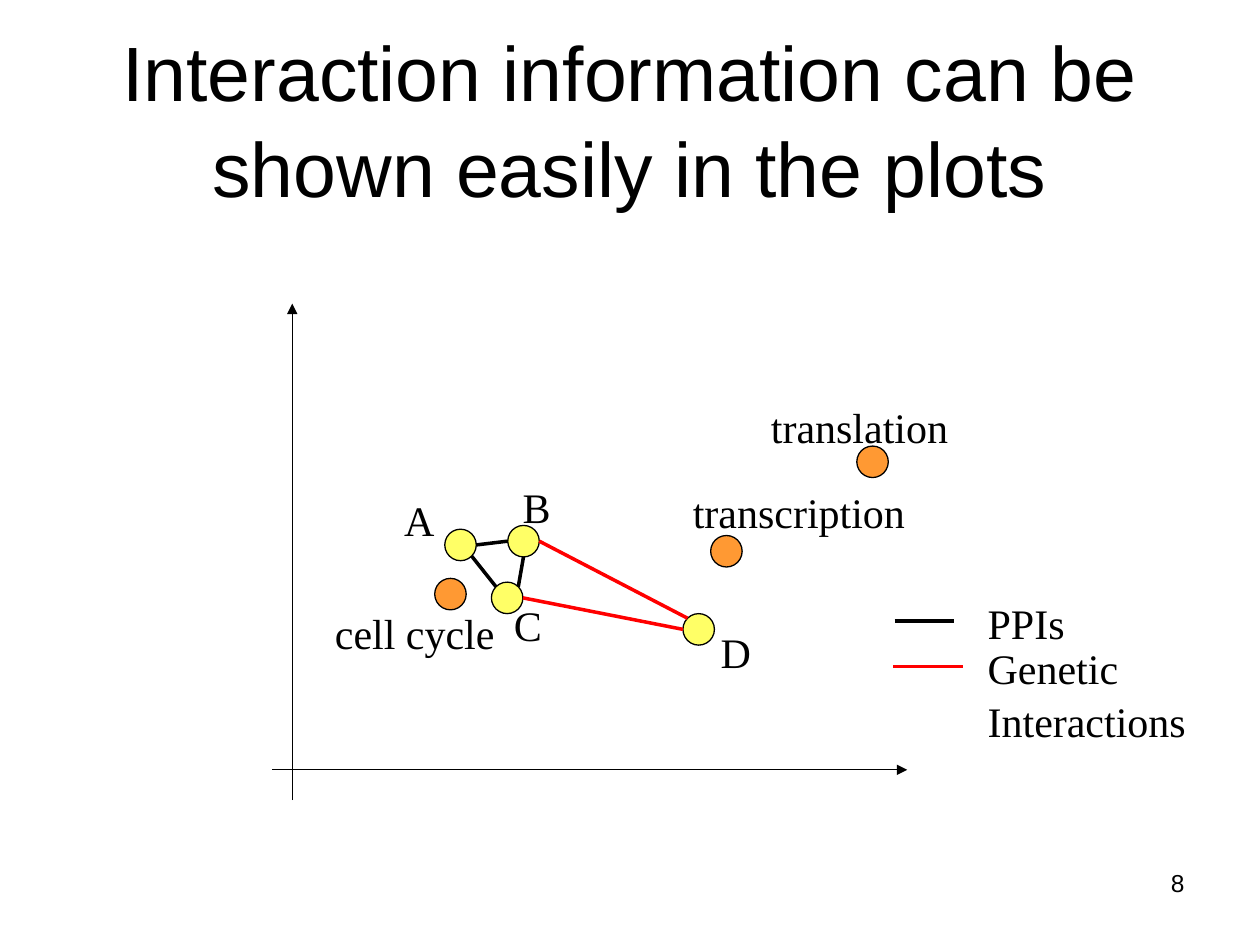
from dataclasses import dataclass
from enum import Enum
from math import cos, radians, sin

from lxml.etree import SubElement
from pptx import Presentation
from pptx.dml.color import RGBColor
from pptx.enum.shapes import MSO_CONNECTOR, MSO_SHAPE
from pptx.enum.text import MSO_ANCHOR, MSO_AUTO_SIZE, PP_ALIGN
from pptx.oxml.ns import qn
from pptx.util import Inches, Pt

WIDTH, HEIGHT = Inches(10), Inches(7.5)
COLUMNS, ROWS = 100, 75
DOT = 2.5
LABEL_ROWS = 5


@dataclass(frozen=True)
class Theme:
    ink: RGBColor = RGBColor(0x00, 0x00, 0x00)
    genetic: RGBColor = RGBColor(0xFF, 0x00, 0x00)
    process: RGBColor = RGBColor(0xFF, 0x99, 0x33)
    gene: RGBColor = RGBColor(0xFF, 0xFF, 0x66)
    title_font: str = "Arial"
    label_font: str = "Times New Roman"
    title_size: float = 44
    label_size: float = 24
    number_size: float = 14
    thin: float = 0.75
    thick: float = 2


THEME = Theme()


class Side(Enum):
    RIGHT = 0
    LOWER_RIGHT = 45
    BOTTOM = 90
    LEFT = 180
    UPPER_LEFT = 225
    UPPER_RIGHT = 315


@dataclass(frozen=True)
class Box:
    col: float
    row: float
    cols: float
    rows: float = LABEL_ROWS


@dataclass(frozen=True)
class Dot:
    name: str
    col: float
    row: float
    label: Box
    fill: RGBColor

    def side(self, side: Side) -> tuple[float, float]:
        angle, radius = radians(side.value), DOT / 2
        return (self.col + radius * (1 + cos(angle)),
                self.row + radius * (1 + sin(angle)))


@dataclass(frozen=True)
class Edge:
    source: str
    source_side: Side
    target: str
    target_side: Side
    color: RGBColor


@dataclass(frozen=True)
class LegendEntry:
    name: str
    start: float
    end: float
    row: float
    label: Box
    color: RGBColor


PROCESSES = (
    Dot("translation", 68, 35.4, Box(60.2, 31.2, 16.6), THEME.process),
    Dot("cell cycle", 34.5, 45.9, Box(25.6, 47.5, 15.4), THEME.process),
    Dot("transcription", 56.4, 42.5, Box(54, 37.9, 19.2), THEME.process),
)
GENES = (
    Dot("A", 35.3, 42, Box(31.1, 38.6, 4.5), THEME.gene),
    Dot("B", 40.3, 41.7, Box(40.5, 37.5, 4.5), THEME.gene),
    Dot("C", 39, 46.2, Box(39.8, 46.9, 4.5), THEME.gene),
    Dot("D", 54.2, 48.7, Box(56.2, 49, 4.5), THEME.gene),
)
EDGES = (
    Edge("A", Side.RIGHT, "B", Side.LEFT, THEME.ink),
    Edge("A", Side.LOWER_RIGHT, "C", Side.UPPER_LEFT, THEME.ink),
    Edge("B", Side.BOTTOM, "C", Side.UPPER_RIGHT, THEME.ink),
    Edge("B", Side.RIGHT, "D", Side.UPPER_LEFT, THEME.genetic),
    Edge("C", Side.RIGHT, "D", Side.LEFT, THEME.genetic),
)
AXES = (
    ((23.2, 63.5), (23.2, 24.1)),
    ((21.6, 61.1), (72, 61.1)),
)
LEGEND = (
    LegendEntry("PPIs", 71, 75.7, 49.3, Box(77.4, 46.7, 13.4), THEME.ink),
    LegendEntry("Genetic Interactions", 70.9, 76.4, 52.9,
                Box(77.4, 50.3, 19.9, 9), THEME.genetic),
)


def x(cols: float) -> int:
    return round(WIDTH * cols / COLUMNS)


def y(rows: float) -> int:
    return round(HEIGHT * rows / ROWS)


def write(shape, text: str, *, font: str = THEME.label_font,
          size: float = THEME.label_size, align: PP_ALIGN = PP_ALIGN.LEFT,
          anchor: MSO_ANCHOR = MSO_ANCHOR.TOP, spacing: float = 1.05) -> None:
    frame = shape.text_frame
    frame.word_wrap = True
    frame.auto_size = MSO_AUTO_SIZE.NONE
    frame.vertical_anchor = anchor
    paragraph = frame.paragraphs[0]
    paragraph.alignment = align
    paragraph.line_spacing = spacing
    run = paragraph.add_run()
    run.text = text
    run.font.name = font
    run.font.size = Pt(size)
    run.font.color.rgb = THEME.ink


def add_label(slide, box: Box, text: str, **style) -> None:
    label = slide.shapes.add_textbox(x(box.col), y(box.row), x(box.cols), y(box.rows))
    write(label, text, **style)


def add_dot(slide, dot: Dot) -> None:
    circle = slide.shapes.add_shape(
        MSO_SHAPE.OVAL, x(dot.col), y(dot.row), x(DOT), y(DOT))
    circle.shadow.inherit = False
    circle.fill.solid()
    circle.fill.fore_color.rgb = dot.fill
    circle.line.color.rgb = THEME.ink
    circle.line.width = Pt(THEME.thin)


def add_line(slide, start: tuple[float, float], end: tuple[float, float],
             color: RGBColor, weight: float, arrow: bool = False) -> None:
    line = slide.shapes.add_connector(
        MSO_CONNECTOR.STRAIGHT, x(start[0]), y(start[1]), x(end[0]), y(end[1]))
    line.line.color.rgb = color
    line.line.width = Pt(weight)
    if arrow:
        SubElement(line.line._get_or_add_ln(), qn("a:tailEnd"), type="triangle")
    SubElement(line._element.spPr, qn("a:effectLst"))


def main() -> None:
    deck = Presentation()
    deck.slide_width, deck.slide_height = WIDTH, HEIGHT
    slide = deck.slides.add_slide(deck.slide_layouts[5])

    title = slide.shapes.title
    title.left, title.top, title.width, title.height = x(5), y(3), x(90), y(12.5)
    write(title, "Interaction information can be shown easily in the plots",
          font=THEME.title_font, size=THEME.title_size, align=PP_ALIGN.CENTER,
          anchor=MSO_ANCHOR.MIDDLE, spacing=1.04)

    for start, end in AXES:
        add_line(slide, start, end, THEME.ink, THEME.thin, arrow=True)
    for dot in PROCESSES + GENES:
        add_dot(slide, dot)
        add_label(slide, dot.label, dot.name)

    genes = {gene.name: gene for gene in GENES}
    for edge in EDGES:
        add_line(slide, genes[edge.source].side(edge.source_side),
                 genes[edge.target].side(edge.target_side), edge.color, THEME.thick)

    for entry in LEGEND:
        add_line(slide, (entry.start, entry.row), (entry.end, entry.row),
                 entry.color, THEME.thick)
        add_label(slide, entry.label, entry.name)

    add_label(slide, Box(71.7, 68.3, 23.3, 5.2), "8", font=THEME.title_font,
              size=THEME.number_size, align=PP_ALIGN.RIGHT)
    deck.save("out.pptx")


if __name__ == "__main__":
    main()
